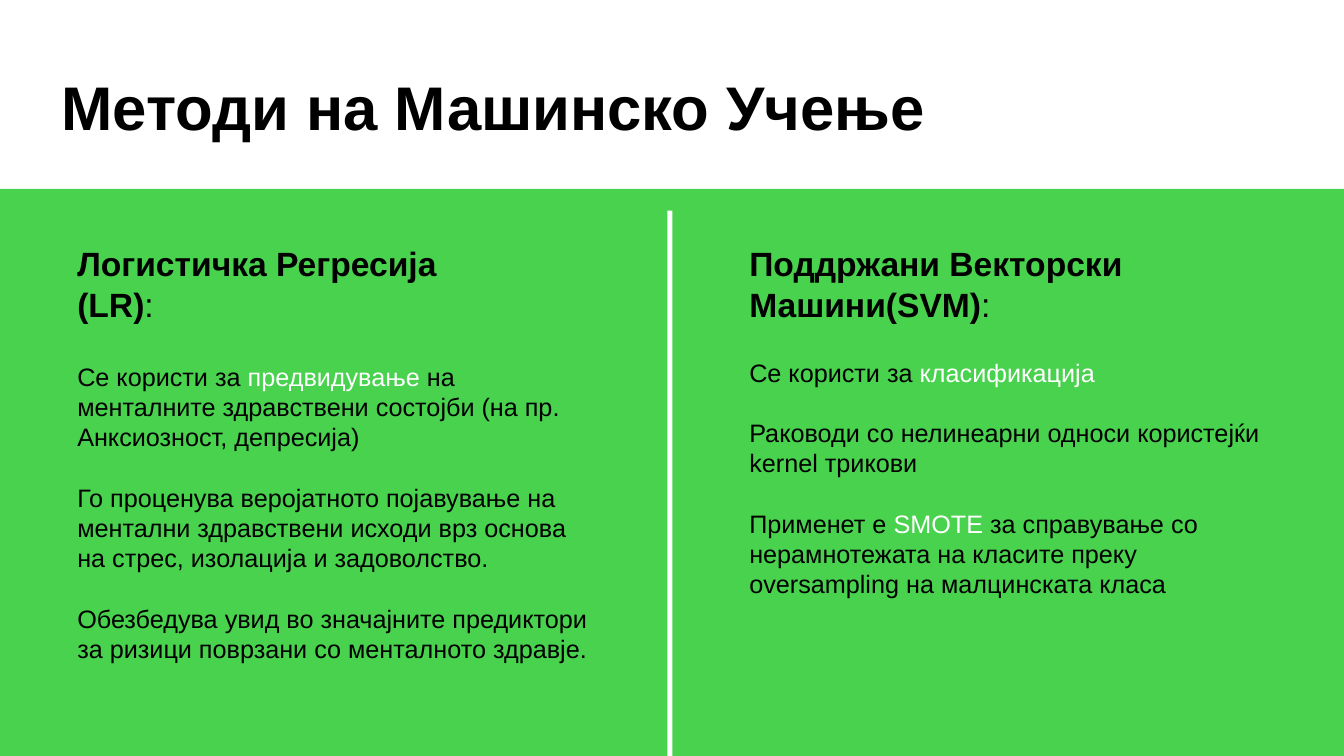
import pptx
import pptx.dml.color
import pptx.enum.shapes
import pptx.enum.text
import pptx.util

ANCHOR = pptx.enum.text.MSO_ANCHOR
COLORS = {"green": "48D24D", "white": "FFFFFF", "black": "000000"}
COLS, ROWS = 40, 24


def rgb(name):
    return pptx.dml.color.RGBColor.from_string(COLORS[name])


def add_run(p, text, size=18, color="black", bold=False, font="Arial"):
    r = p.add_run()
    r.text = text
    r.font.name = font
    r.font.size = pptx.util.Pt(size)
    r.font.bold = bold
    r.font.color.rgb = rgb(color)


class Deck:
    """Style and current slide; lengths are grid columns and rows."""

    def __init__(self):
        self.prs = pptx.Presentation()
        self.prs.slide_width = pptx.util.Inches(13.33)
        self.prs.slide_height = pptx.util.Inches(7.5)
        self.slide = self.prs.slides.add_slide(
            self.prs.slide_layouts.get_by_name("Comparison"))

    def grid(self, col, row, cols, rows):
        w, h = self.prs.slide_width / COLS, self.prs.slide_height / ROWS
        return [int(v) for v in (col * w, row * h, cols * w, rows * h)]

    def block(self, color, *cell):
        sp = self.slide.shapes.add_shape(
            pptx.enum.shapes.MSO_SHAPE.RECTANGLE, *self.grid(*cell))
        sp.shadow.inherit = False
        sp.fill.solid()
        sp.fill.fore_color.rgb = rgb(color)
        sp.line.fill.background()
        return sp

    def backdrop(self, color, *cell):
        sp = self.block(color, *cell)
        self.slide.shapes._spTree.insert(2, sp._element)

    def text(self, idx, cell, paragraphs, anchor=ANCHOR.MIDDLE, gap=0, spacing=1.0):
        """Fill a placeholder; each paragraph is a list of (text, format)."""
        sp = next(s for s in self.slide.placeholders
                  if s.placeholder_format.idx == idx)
        sp.left, sp.top, sp.width, sp.height = self.grid(*cell)
        tf = sp.text_frame
        tf.word_wrap = True
        tf.auto_size = pptx.enum.text.MSO_AUTO_SIZE.NONE
        tf.vertical_anchor = anchor
        for i, runs in enumerate(paragraphs):
            p = tf.add_paragraph() if i else tf.paragraphs[0]
            pPr = p._p.get_or_add_pPr()
            pPr.set("marL", "0")
            pPr.set("indent", "0")
            pPr.append(pptx.oxml.parse_xml(
                '<a:buNone xmlns:a="http://schemas.openxmlformats.org/drawingml/2006/main"/>'))
            p.alignment = pptx.enum.text.PP_ALIGN.LEFT
            p.line_spacing = spacing
            p.space_before = pptx.util.Pt(gap if i else 0)
            for text, fmt in runs:
                add_run(p, text, **fmt)

    def title(self, text, *cell):
        self.text(0, cell, [[(text, {"size": 44, "bold": True})]], spacing=0.9)

    def heading(self, idx, text, *cell):
        self.text(idx, cell, [[(text, {"size": 24, "bold": True}),
                               (":", {"size": 24})]])

    def body(self, idx, paragraphs, *cell, anchor=ANCHOR.MIDDLE):
        self.text(idx, cell, paragraphs, anchor=anchor, gap=21.6)


def main():
    deck = Deck()
    plain, accent = {}, {"color": "white"}
    left, right = 2, 22

    # Title above the green panel
    deck.backdrop("green", 0, 6, COLS, ROWS - 6)
    deck.title("Методи на Машинско Учење", 1.53, 1.18, 34.5, 4.64)

    # Logistic regression column
    deck.heading(1, "Логистичка Регресија (LR)", left, 7.55, 12.2, 2.9)
    deck.body(2, [
        [("Се користи за ", plain), ("предвидување", accent),
         (" на менталните здравствени состојби (на пр. Анксиозност, депресија)", plain)],
        [("Го проценува веројатното појавување на ментални здравствени исходи "
          "врз основа на стрес, изолација и задоволство.", plain)],
        [("Обезбедува увид во значајните предиктори за ризици поврзани "
          "со менталното здравје.", plain)],
    ], left, 10.78, 16, 10.98)

    # Support vector machines column
    deck.heading(3, "Поддржани Векторски Машини(SVM)", right, 7.55, 12.2, 2.9)
    deck.body(4, [
        [("Се користи за ", plain), ("класификација", accent)],
        [("Раководи со нелинеарни односи користејќи kernel трикови", plain)],
        [("Применет е ", plain), ("SMOTE ", accent),
         ("за справување со нерамнотежата на класите преку oversampling "
          "на малцинската класа", plain)],
    ], right, 11.17, 16.75, 8.06, anchor=ANCHOR.TOP)

    # Divider between the columns
    deck.block("white", 19.86, 6.69, 0.15, ROWS - 6.69)

    deck.prs.save("out.pptx")


if __name__ == "__main__":
    main()
